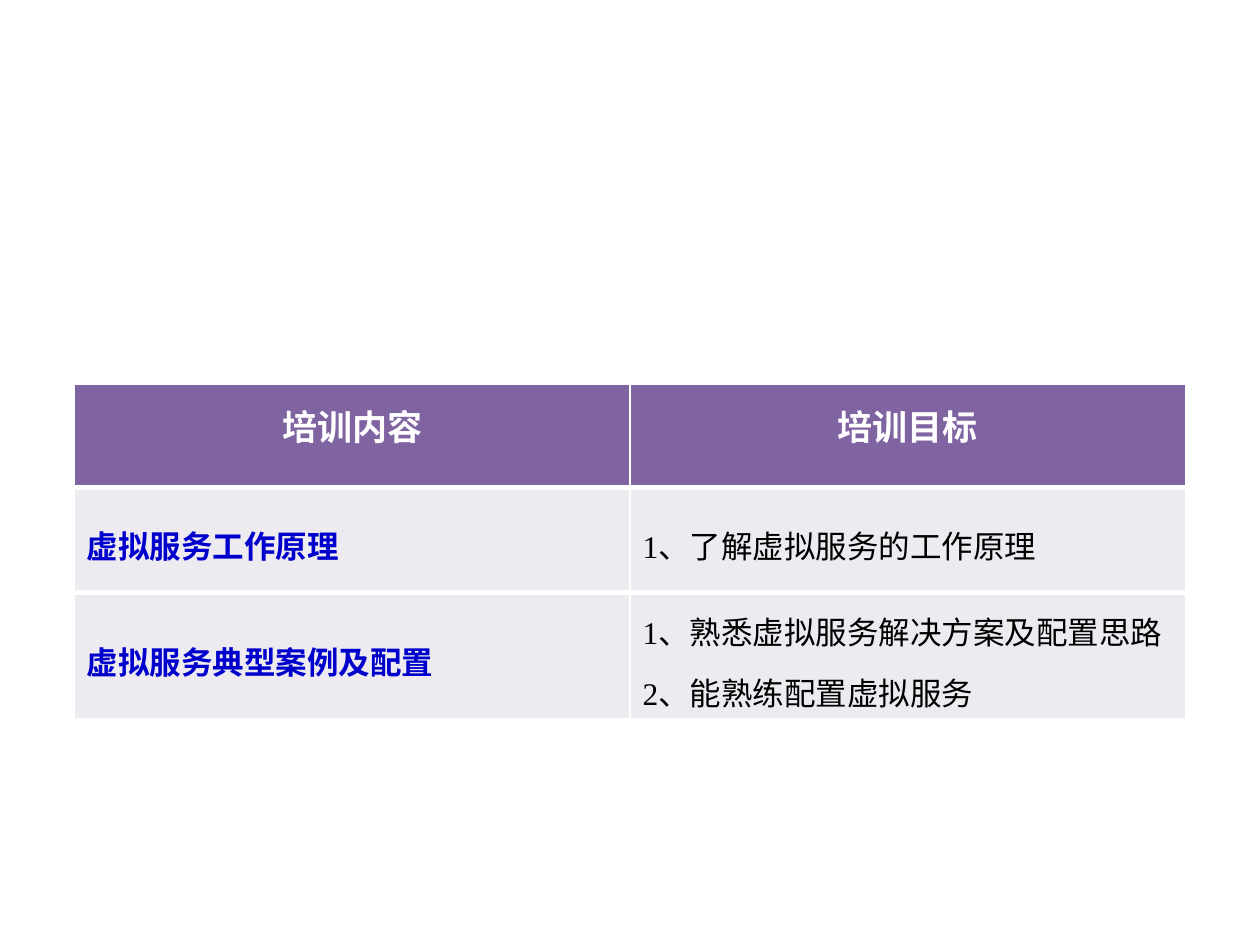
"""Build a slide with a table of training contents and goals."""
from lxml.etree import SubElement
from pptx import Presentation
from pptx.dml.color import RGBColor
from pptx.enum.text import MSO_ANCHOR, PP_ALIGN
from pptx.oxml.ns import qn
from pptx.util import Inches, Pt


def color(value):
    return RGBColor.from_string(value)


def add_white_borders(cell):
    properties = cell._tc.get_or_add_tcPr()
    for index, (side, points) in enumerate([("lnL", 1), ("lnR", 1), ("lnT", 3), ("lnB", 3)]):
        line = SubElement(properties, qn(f"a:{side}"), w=str(Pt(points)))
        fill = SubElement(line, qn("a:solidFill"))
        SubElement(fill, qn("a:srgbClr"), val="FFFFFF")
        properties.insert(index, line)


ROWS = [
    ("培训内容", "培训目标"),
    ("虚拟服务工作原理", "1、了解虚拟服务的工作原理"),
    ("虚拟服务典型案例及配置", "1、熟悉虚拟服务解决方案及配置思路\n2、能熟练配置虚拟服务"),
]
ROW_HEIGHTS = [0.83, 0.83, 0.88]
TEXT_COLORS = ["0000CC", "000000"]

presentation = Presentation()
presentation.slide_width = Inches(10)
presentation.slide_height = Inches(7.5)
slide = presentation.slides.add_slide(presentation.slide_layouts[6])

table = slide.shapes.add_table(
    len(ROWS), 2, Inches(0.59), Inches(3.04), Inches(8.82), Inches(sum(ROW_HEIGHTS))
).table

for row_index, (texts, height) in enumerate(zip(ROWS, ROW_HEIGHTS)):
    table.rows[row_index].height = Inches(height)
    is_header = row_index == 0
    size = 20 if is_header else 18
    for column_index, text in enumerate(texts):
        cell = table.cell(row_index, column_index)
        cell.fill.solid()
        cell.fill.fore_color.rgb = color("8064A2" if is_header else "EDEAF0")
        cell.vertical_anchor = MSO_ANCHOR.TOP if is_header else MSO_ANCHOR.MIDDLE
        add_white_borders(cell)
        cell.text_frame.text = text
        for paragraph in cell.text_frame.paragraphs:
            paragraph.alignment = PP_ALIGN.CENTER if is_header else PP_ALIGN.LEFT
            paragraph.line_spacing = 1.2
            paragraph.space_before = Pt(size * 0.2)
            for run in paragraph.runs:
                run.font.name = "Times New Roman"
                run.font.size = Pt(size)
                run.font.bold = is_header or column_index == 0
                run.font.color.rgb = color("FFFFFF" if is_header else TEXT_COLORS[column_index])

presentation.save("out.pptx")
